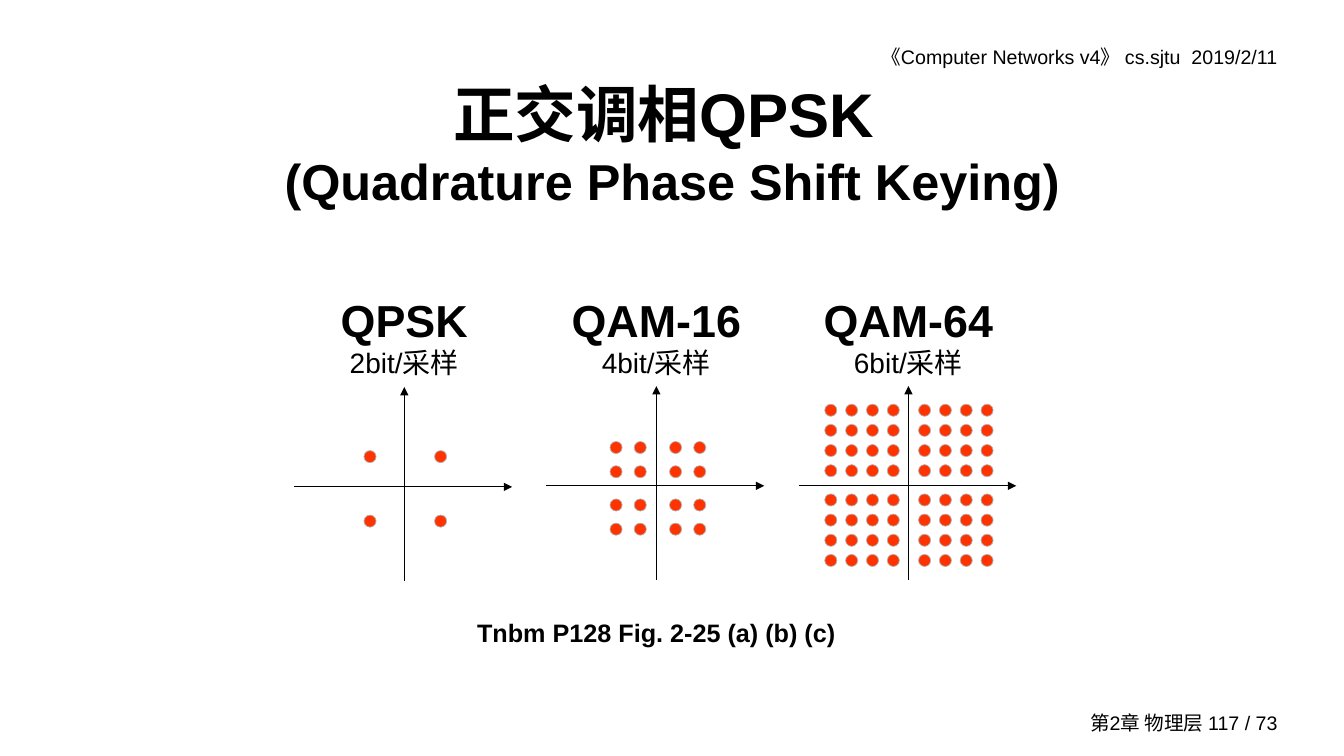
from itertools import product

from lxml import etree
from pptx import Presentation
from pptx.dml.color import RGBColor
from pptx.enum import shapes, text
from pptx.oxml import ns
from pptx.util import Inches, Pt

COLORS = {"ink": "000000", "dot": "FF3300", "dot_edge": "B2B2B2"}
FONT = "Arial"
DOT = 0.12
CENTER, RIGHT = text.PP_ALIGN.CENTER, text.PP_ALIGN.RIGHT

# name, bits label, axis origin, caption width, points per half axis,
# then (first offset, jump across the axis, spread of one half) for x and y
CONSTELLATIONS = [
    ("QPSK", "2bit/采样", (4.01, 4.83), 1.46, 1, (-0.4, 0.7, 0), (-0.36, 0.64, 0)),
    ("QAM-16", "4bit/采样", (6.51, 4.82), 1.88, 2,
     (-0.46, 0.59, 0.24), (-0.44, 0.57, 0.24)),
    ("QAM-64", "6bit/采样", (9.01, 4.82), 1.88, 4,
     (-0.83, 0.93, 0.62), (-0.81, 0.89, 0.6)),
]


def color(name):
    return RGBColor.from_string(COLORS[name])


def style_font(font, size, bold):
    font.name = FONT
    font.size = Pt(size)
    font.bold = bold
    font.color.rgb = color("ink")


def add_text(parent, left, top, width, height, lines, align=CENTER,
             middle=False, wrap=True):
    box = parent.add_textbox(*map(Inches, (left, top, width, height)))
    frame = box.text_frame
    frame.word_wrap = wrap
    anchor = text.MSO_ANCHOR
    frame.vertical_anchor = anchor.MIDDLE if middle else anchor.TOP
    for index, (words, size, bold) in enumerate(lines):
        para = frame.add_paragraph() if index else frame.paragraphs[0]
        para.text = words
        para.alignment = align
        style_font(para.font, size, bold)


def add_title(page):
    box = page.shapes.add_textbox(*map(Inches, (2.42, 0.67, 8.5, 1.5)))
    frame = box.text_frame
    frame.word_wrap = True
    frame.vertical_anchor = text.MSO_ANCHOR.MIDDLE
    para = frame.paragraphs[0]
    para.alignment = CENTER
    for words, size in (("正交调相QPSK \v", 44), ("(Quadrature Phase Shift Keying)", 36)):
        if words.endswith("\v"):
            span = para.add_run()
            span.text = words[:-1]
            para.add_line_break()
        else:
            span = para.add_run()
            span.text = words
        style_font(span.font, size, True)


def add_axis(parent, x1, y1, x2, y2):
    axis = parent.add_connector(
        shapes.MSO_CONNECTOR.STRAIGHT, *map(Inches, (x1, y1, x2, y2)))
    axis.line.color.rgb = color("ink")
    axis.line.width = Pt(0.5)
    tail = etree.SubElement(axis.line._get_or_add_ln(), ns.qn("a:tailEnd"))
    tail.set("type", "triangle")
    etree.SubElement(axis._element.spPr, ns.qn("a:effectLst"))


def add_dot(parent, left, top):
    dot = parent.add_shape(
        shapes.MSO_SHAPE.OVAL, *map(Inches, (left, top, DOT, DOT)))
    dot.shadow.inherit = False
    dot.fill.solid()
    dot.fill.fore_color.rgb = color("dot")
    dot.line.color.rgb = color("dot_edge")
    dot.line.width = Pt(0.5)


def dot_positions(origin, half, first, jump, spread):
    step = spread / max(half - 1, 1)
    return [origin + first + side * jump + index * step
            for side in range(2) for index in range(half)]


def add_constellation(page, name, bits, origin, width, half, across, down):
    x, y = origin
    group = page.shapes.add_group_shape().shapes
    add_axis(group, x - 1.09, y, x + 1.07, y)
    add_axis(group, x, y + 0.93, x, y - 0.99)
    columns = dot_positions(x, half, *across)
    rows = dot_positions(y, half, *down)
    for top, left in product(rows, columns):
        add_dot(group, left, top)
    add_text(group, x - width / 2, 2.85, width, 0.97,
             [(name, 32, True), (bits, 20, False)], wrap=False)


def main():
    deck = Presentation()
    deck.slide_width, deck.slide_height = Inches(13.33), Inches(7.5)
    page = deck.slides.add_slide(deck.slide_layouts[6])
    add_text(page.shapes, 7.03, 0.4, 5.74, 0.34,
             [("《Computer Networks v4》 cs.sjtu  2019/2/11", 14, False)], RIGHT)
    add_text(page.shapes, 9.76, 7, 3.01, 0.33,
             [("第2章 物理层 117 / 73", 14, False)], RIGHT, middle=True)
    add_title(page)
    for constellation in CONSTELLATIONS:
        add_constellation(page, *constellation)
    add_text(page.shapes, 4.01, 6.08, 5, 0.4,
             [("Tnbm P128 Fig. 2-25 (a) (b) (c)", 18, True)])
    deck.save("out.pptx")


if __name__ == "__main__":
    main()
